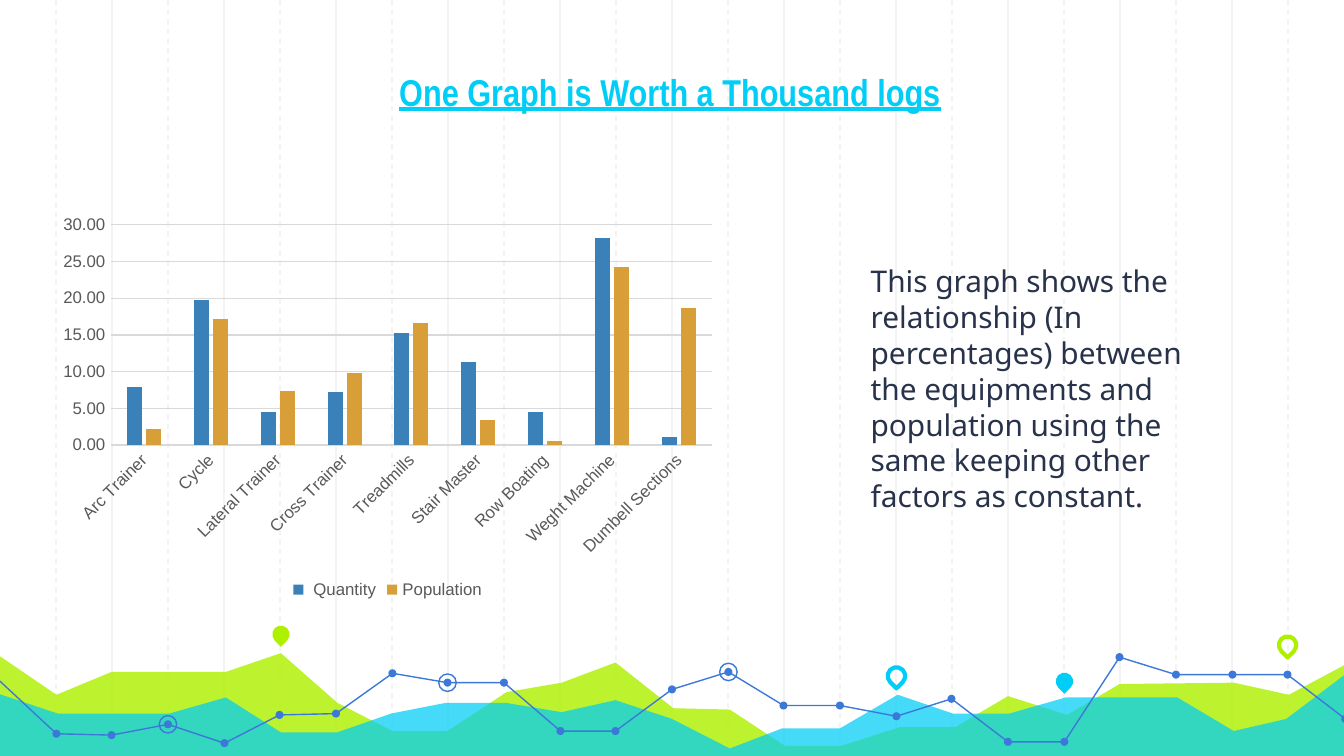
from lxml import etree
from pptx import Presentation
from pptx.chart.data import CategoryChartData
from pptx.dml.color import RGBColor
from pptx.enum.chart import XL_CHART_TYPE, XL_LEGEND_POSITION, XL_TICK_MARK
from pptx.enum.dml import MSO_LINE
from pptx.enum.shapes import MSO_CONNECTOR, MSO_SHAPE
from pptx.enum.text import MSO_ANCHOR, PP_ALIGN
from pptx.oxml.ns import qn
from pptx.util import Inches, Pt

COLUMNS = XL_CHART_TYPE.COLUMN_CLUSTERED
BOTTOM = XL_LEGEND_POSITION.BOTTOM
NO_TICK = XL_TICK_MARK.NONE
DASH = MSO_LINE.DASH
STRAIGHT = MSO_CONNECTOR.STRAIGHT
OVAL, TEARDROP = MSO_SHAPE.OVAL, MSO_SHAPE.TEAR
ANCHOR_BOTTOM, ANCHOR_MIDDLE = MSO_ANCHOR.BOTTOM, MSO_ANCHOR.MIDDLE
CENTER, LEFT = PP_ALIGN.CENTER, PP_ALIGN.LEFT

# Content
TITLE = "One Graph is Worth a Thousand logs"
BODY = ("This graph shows the relationship (In percentages) between the equipments "
        "and population using the same keeping other factors as constant.")
CATEGORIES = ["Arc Trainer", "Cycle", "Lateral Trainer", "Cross Trainer", "Treadmills",
              "Stair Master", "Row Boating", "Weght Machine", "Dumbell Sections"]
SERIES = [
    (" Quantity", "blue", [7.9, 19.8, 4.5, 7.3, 15.3, 11.3, 4.5, 28.2, 1.1]),
    ("Population", "ochre", [2.2, 17.2, 7.4, 9.8, 16.6, 3.4, 0.5, 24.3, 18.6]),
]

# Decoration, in inches
LIME_HILLS = [(-0.02, 4.87), (0.42, 5.17), (0.83, 5), (1.68, 5), (2.09, 4.86), (2.51, 5.23),
              (2.92, 5.44), (3.33, 5.44), (3.77, 5.15), (4.18, 5.08), (4.58, 4.93),
              (5.01, 5.27), (5.43, 5.28), (5.84, 5.55), (6.26, 5.55), (6.7, 5.41),
              (7.11, 5.41), (7.5, 5.18), (7.94, 5.32), (8.33, 5.09), (9.18, 5.08),
              (9.59, 5.17), (10.02, 4.94), (10.01, 5.64), (-0.03, 5.64)]
CYAN_HILLS = [(-0.02, 5.16), (0.43, 5.31), (1.26, 5.31), (1.68, 5.19), (2.09, 5.45),
              (2.51, 5.45), (2.91, 5.31), (3.32, 5.23), (3.76, 5.23), (4.18, 5.3),
              (4.58, 5.21), (5, 5.35), (5.43, 5.57), (5.82, 5.42), (6.25, 5.42),
              (6.68, 5.17), (7.09, 5.31), (7.51, 5.31), (7.93, 5.19), (8.76, 5.19),
              (9.18, 5.44), (9.57, 5.35), (10.02, 5.01), (10.02, 5.65), (-0.03, 5.65)]
TREND = [(-0.01, 5.06), (0.42, 5.46), (0.83, 5.47), (1.25, 5.39), (1.67, 5.53), (2.08, 5.32),
         (2.5, 5.31), (2.92, 5.01), (3.33, 5.08), (3.75, 5.08), (4.17, 5.44), (4.58, 5.44),
         (5, 5.13), (5.42, 5), (5.83, 5.25), (6.25, 5.25), (6.67, 5.33), (7.08, 5.2),
         (7.5, 5.52), (7.92, 5.52), (8.33, 4.89), (8.75, 5.02), (9.17, 5.02), (9.58, 5.02),
         (10.01, 5.35)]
TREND_BREAKS = (0, 11, 20, 24)
RINGED = (3, 8, 13)
PINS = [((2.09, 4.72), "lime", True), ((6.67, 5.03), "cyan", False),
        ((7.92, 5.07), "cyan", True), ((9.58, 4.8), "lime", False)]

THEME = {
    "colors": {"lime": "AFF000", "cyan": "00CEF6", "trend": "3C78D8", "guide": "F3F3F3",
               "ink": "28324A", "grid": "D9D9D9", "label": "595959",
               "blue": "3A81BA", "ochre": "D89F39"},
    "fonts": {"title": "Arial Narrow", "body": "Noto Sans", "chart": "Arial"},
    "sizes": {"title": 20, "body": 16, "label": 9},
}
WIDTH = 10
HEIGHT = WIDTH * 9 / 16
GUIDE_COLUMNS, GUIDE_LENGTH = 24, 5.65
DOT, MARKER = 0.06, 0.13

presentation = Presentation()
presentation.slide_width, presentation.slide_height = Inches(WIDTH), Inches(HEIGHT)
slide = presentation.slides.add_slide(presentation.slide_layouts[6])
shapes = slide.shapes


def color(name):
    return RGBColor.from_string(THEME["colors"][name])


def style_font(font, role, color_name):
    font.size = Pt(THEME["sizes"][role])
    font.name = THEME["fonts"]["chart" if role == "label" else role]
    font.color.rgb = color(color_name)


def style_line(line, color_name, width=0.75):
    line.color.rgb = color(color_name)
    line.width = Pt(width)


def style_shape(shape, fill=None, line=None, width=0.75):
    shape.shadow.inherit = False
    if fill:
        shape.fill.solid()
        shape.fill.fore_color.rgb = color(fill)
    else:
        shape.fill.background()
    if line:
        style_line(shape.line, line, width)
    else:
        shape.line.fill.background()


def add_marker(preset, center, size, **style):
    left, top = (Inches(value - size / 2) for value in center)
    shape = shapes.add_shape(preset, left, top, Inches(size), Inches(size))
    style_shape(shape, **style)
    return shape


def add_path(points, close, **style):
    corners = [(Inches(x), Inches(y)) for x, y in points]
    builder = shapes.build_freeform(*corners[0])
    builder.add_line_segments(corners[1:], close=close)
    shape = builder.convert_to_shape()
    style_shape(shape, **style)
    return shape


def add_hills(points, color_name, opacity):
    hills = add_path(points, True, fill=color_name)
    tint = hills._element.spPr.find(".//" + qn("a:srgbClr"))
    etree.SubElement(tint, qn("a:alpha")).set("val", str(opacity * 1000))


def add_text(text, box, role, color_name, anchor, alignment):
    text_frame = shapes.add_textbox(*map(Inches, box)).text_frame
    text_frame.word_wrap = True
    text_frame.vertical_anchor = anchor
    text_frame.margin_left = text_frame.margin_right = Inches(0.1)
    text_frame.margin_top = text_frame.margin_bottom = Inches(0.1)
    text_frame.text = text
    paragraph = text_frame.paragraphs[0]
    paragraph.alignment = alignment
    style_font(paragraph.runs[0].font, role, color_name)
    return paragraph


# Vertical guides, every other one dashed
for column in range(1, GUIDE_COLUMNS):
    x = Inches(WIDTH * column / GUIDE_COLUMNS)
    guide = shapes.add_connector(STRAIGHT, x, 0, x, Inches(GUIDE_LENGTH))
    style_line(guide.line, "guide")
    if column % 2:
        guide.line.dash_style = DASH
    etree.SubElement(guide._element.spPr, qn("a:effectLst"))

# Hills, trend line and markers
add_hills(LIME_HILLS, "lime", 82)
add_hills(CYAN_HILLS, "cyan", 73)
for first, last in zip(TREND_BREAKS, TREND_BREAKS[1:]):
    add_path(TREND[first:last + 1], False, line="trend")
for point in TREND[1:]:
    add_marker(OVAL, point, DOT, fill="trend")
for index in RINGED:
    add_marker(OVAL, TREND[index], MARKER, line="trend")
for center, color_name, solid in PINS:
    pin_style = {"fill": color_name} if solid else {"line": color_name, "width": 2.25}
    add_marker(TEARDROP, center, MARKER, **pin_style).rotation = 135

# Title and body
title = add_text(TITLE, (1.16, 0.17, 7.65, 0.78), "title", "cyan", ANCHOR_BOTTOM, CENTER)
title.runs[0].font.bold = title.runs[0].font.underline = True
add_text(BODY, (6.38, 1.54, 2.82, 2.7), "body", "ink", ANCHOR_MIDDLE, LEFT)

# Chart
chart_data = CategoryChartData(number_format="0.00")
chart_data.categories = CATEGORIES
for name, _, values in SERIES:
    chart_data.add_series(name, values)
chart_box = map(Inches, (0.37, 1.54, 5.03, 2.96))
chart = shapes.add_chart(COLUMNS, *chart_box, chart_data).chart
style_font(chart.font, "label", "label")
chart.has_title = False
chart.has_legend = True
chart.legend.position = BOTTOM
chart.legend.include_in_layout = False
style_font(chart.legend.font, "label", "label")

plot = chart.plots[0]
plot.gap_width, plot.overlap, plot.vary_by_categories = 219, -27, False
for series, (_, color_name, _) in zip(plot.series, SERIES):
    series.format.fill.solid()
    series.format.fill.fore_color.rgb = color(color_name)

for axis in (chart.category_axis, chart.value_axis):
    axis.major_tick_mark = axis.minor_tick_mark = NO_TICK
    style_font(axis.tick_labels.font, "label", "label")
style_line(chart.category_axis.format.line, "grid")
label_body = chart.category_axis._element.find(".//" + qn("a:bodyPr"))
label_body.set("rot", "-2700000")

value_axis = chart.value_axis
value_axis.minimum_scale, value_axis.maximum_scale, value_axis.major_unit = 0, 30, 5
value_axis.tick_labels.number_format = "0.00"
value_axis.tick_labels.number_format_is_linked = False
value_axis.format.line.fill.background()
style_line(value_axis.major_gridlines.format.line, "grid")

presentation.save("out.pptx")
